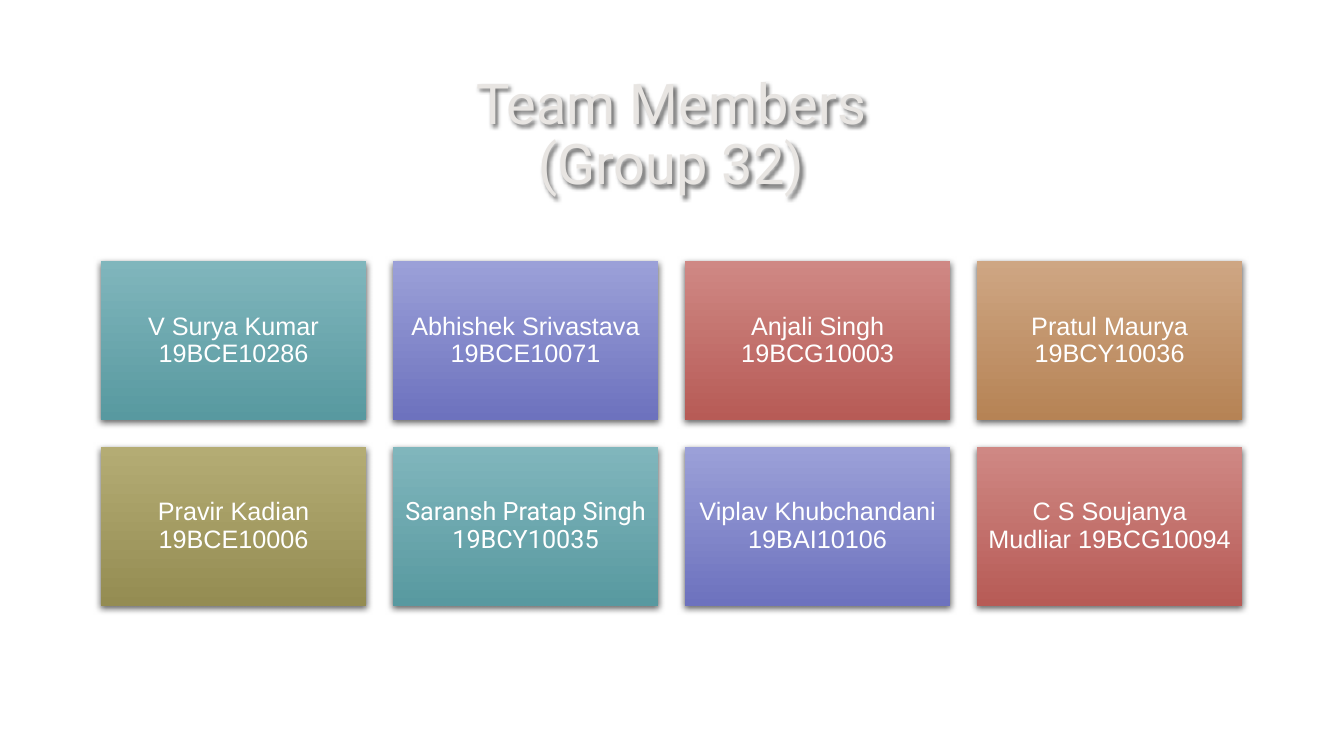
from dataclasses import dataclass

from lxml.etree import SubElement
from pptx import Presentation
from pptx.dml.color import RGBColor
from pptx.enum.shapes import MSO_SHAPE
from pptx.enum.text import MSO_ANCHOR, MSO_AUTO_SIZE, PP_ALIGN
from pptx.oxml.ns import qn
from pptx.util import Cm, Pt


@dataclass(frozen=True)
class Theme:
    title_color: str = "E8E5E2"
    card_text: str = "FFFFFF"
    shadow: str = "000000"
    teal: tuple = ("80B6BC", "5899A0")
    violet: tuple = ("9BA0D8", "6D72BE")
    red: tuple = ("CF8884", "B75B56")
    copper: tuple = ("CEA683", "B68355")
    olive: tuple = ("B4AC74", "948C52")
    title_font: str = "Roboto"
    body_font: str = "Arial"
    title_size: int = 40
    card_size: int = 18


THEME = Theme()
COLUMNS = 4
LEFT, TOP = 2.54, 6.58
CARD_WIDTH, CARD_HEIGHT = 6.69, 4.01
GAP = 0.67
CARD_MARGIN = Cm(0.18)
NO_BREAK_SPACE = chr(160)

MEMBERS = [
    ("V Surya Kumar 19BCE10286", THEME.teal, THEME.body_font),
    ("Abhishek Srivastava 19BCE10071", THEME.violet, THEME.body_font),
    ("Anjali Singh 19BCG10003", THEME.red, THEME.body_font),
    ("Pratul Maurya 19BCY10036", THEME.copper, THEME.body_font),
    ("Pravir Kadian 19BCE10006", THEME.olive, THEME.body_font),
    ("Saransh Pratap Singh 19BCY10035", THEME.teal, THEME.title_font),
    ("Viplav Khubchandani 19BAI10106", THEME.violet, THEME.body_font),
    (f"C S Soujanya Mudliar{NO_BREAK_SPACE}19BCG10094", THEME.red, THEME.body_font),
]


def add_shadow(shape, blur, distance, angle):
    shape.shadow.inherit = False
    effects = shape._element.spPr.find(qn("a:effectLst"))
    shadow = SubElement(effects, qn("a:outerShdw"), blurRad=str(Pt(blur)),
                        dist=str(Pt(distance)), dir=str(angle * 60000),
                        rotWithShape="0")
    color = SubElement(shadow, qn("a:srgbClr"), val=THEME.shadow)
    SubElement(color, qn("a:alpha"), val="60000")


def format_text(text_frame, font_name, size, color):
    text_frame.word_wrap = True
    text_frame.auto_size = MSO_AUTO_SIZE.NONE
    text_frame.vertical_anchor = MSO_ANCHOR.MIDDLE
    paragraph = text_frame.paragraphs[0]
    paragraph.alignment = PP_ALIGN.CENTER
    paragraph.line_spacing = 0.9
    for run in paragraph.runs:
        run.font.name = font_name
        run.font.size = Pt(size)
        run.font.color.rgb = RGBColor.from_string(color)


def add_title(slide, text):
    title = slide.shapes.title
    title.left, title.top = Cm(LEFT), Cm(1.7)
    title.width, title.height = Cm(28.75), Cm(3.48)
    title.fill.background()
    add_shadow(title, 3, 2, 45)
    title.text_frame.text = text
    format_text(title.text_frame, THEME.title_font, THEME.title_size,
                THEME.title_color)


def add_member_card(slide, index, member, gradient, font_name):
    row, column = divmod(index, COLUMNS)
    card = slide.shapes.add_shape(
        MSO_SHAPE.RECTANGLE,
        Cm(LEFT + column * (CARD_WIDTH + GAP)),
        Cm(TOP + row * (CARD_HEIGHT + GAP)),
        Cm(CARD_WIDTH), Cm(CARD_HEIGHT))
    card.fill.gradient()
    card.fill.gradient_angle = 270
    for position, (stop, color) in enumerate(zip(card.fill.gradient_stops, gradient)):
        stop.position = position
        stop.color.rgb = RGBColor.from_string(color)
    card.line.fill.background()
    add_shadow(card, 5, 2, 90)

    label = card.text_frame
    label.margin_left = label.margin_right = CARD_MARGIN
    label.margin_top = label.margin_bottom = CARD_MARGIN
    label.text = member
    format_text(label, font_name, THEME.card_size, THEME.card_text)


def main():
    presentation = Presentation()
    presentation.slide_width = Cm(33.87)
    presentation.slide_height = Cm(19.05)
    slide = presentation.slides.add_slide(presentation.slide_layouts[5])
    add_title(slide, "Team Members\v(Group 32)")
    for index, (member, gradient, font_name) in enumerate(MEMBERS):
        add_member_card(slide, index, member, gradient, font_name)
    presentation.save("out.pptx")


if __name__ == "__main__":
    main()
